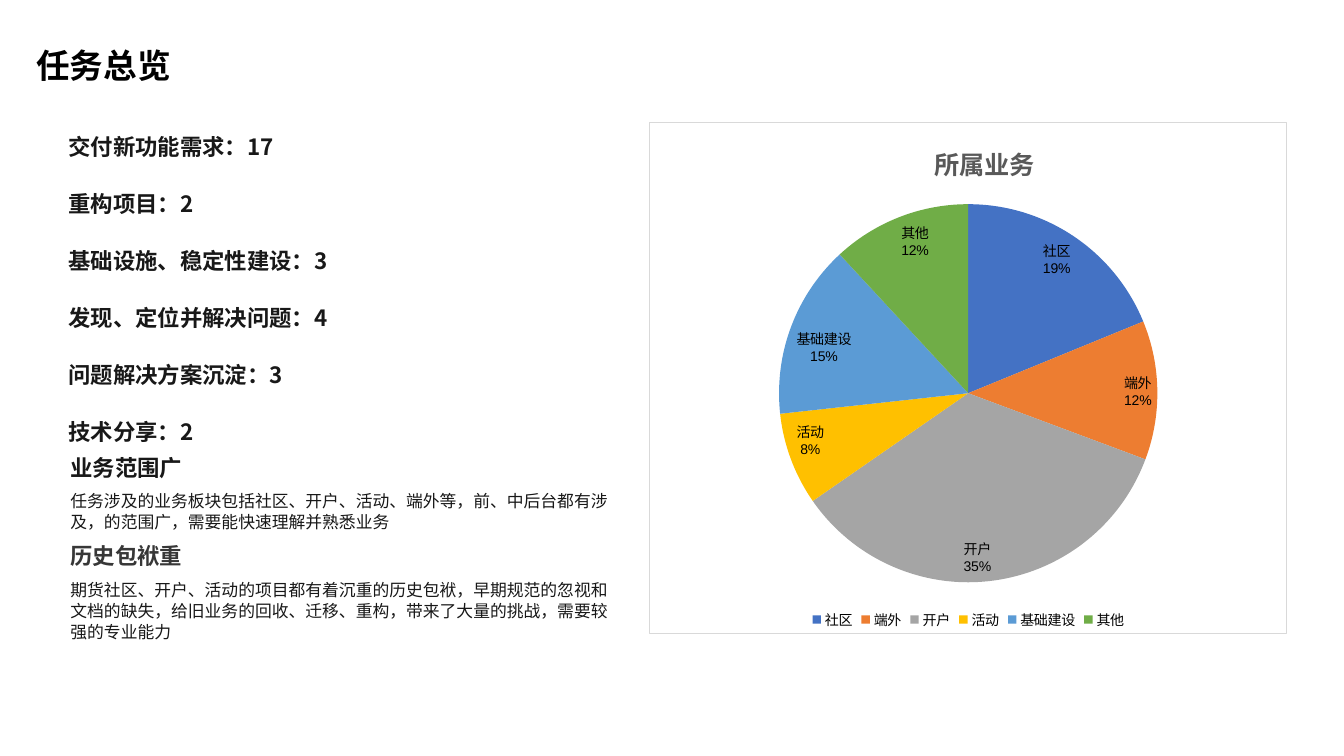
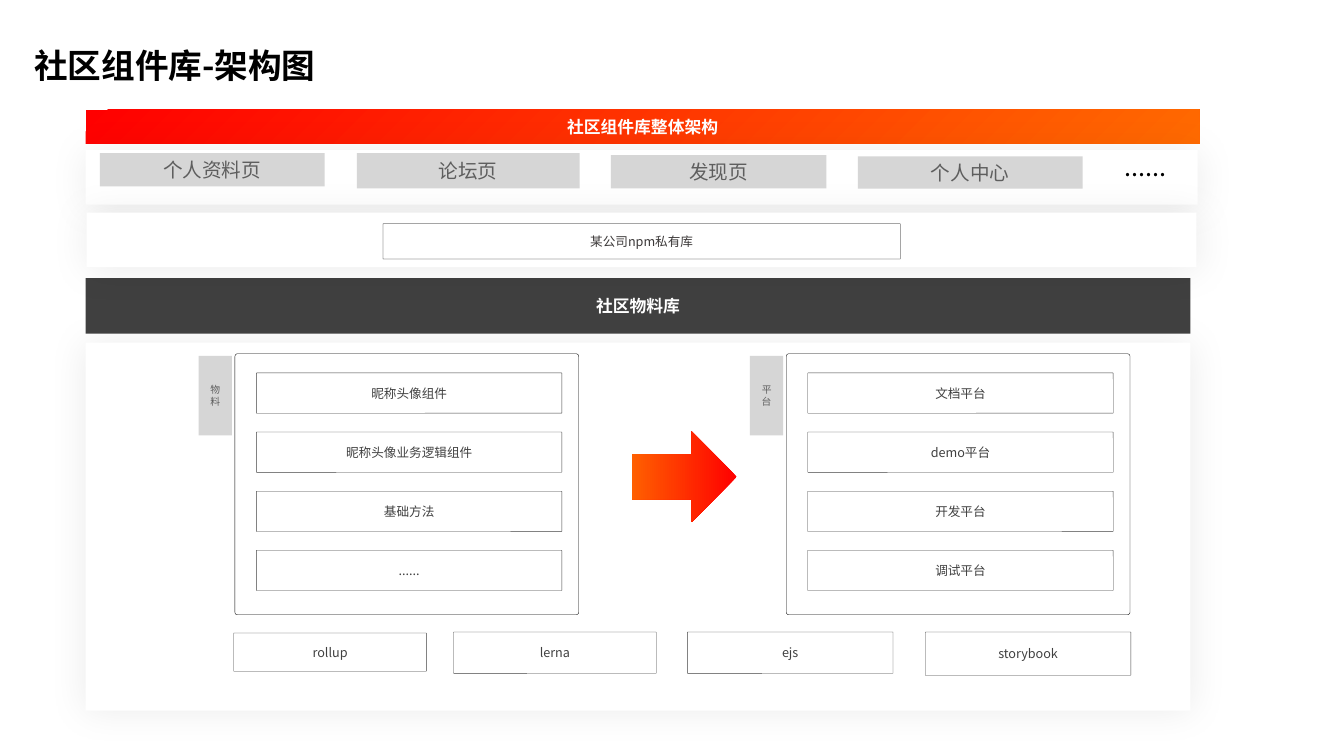
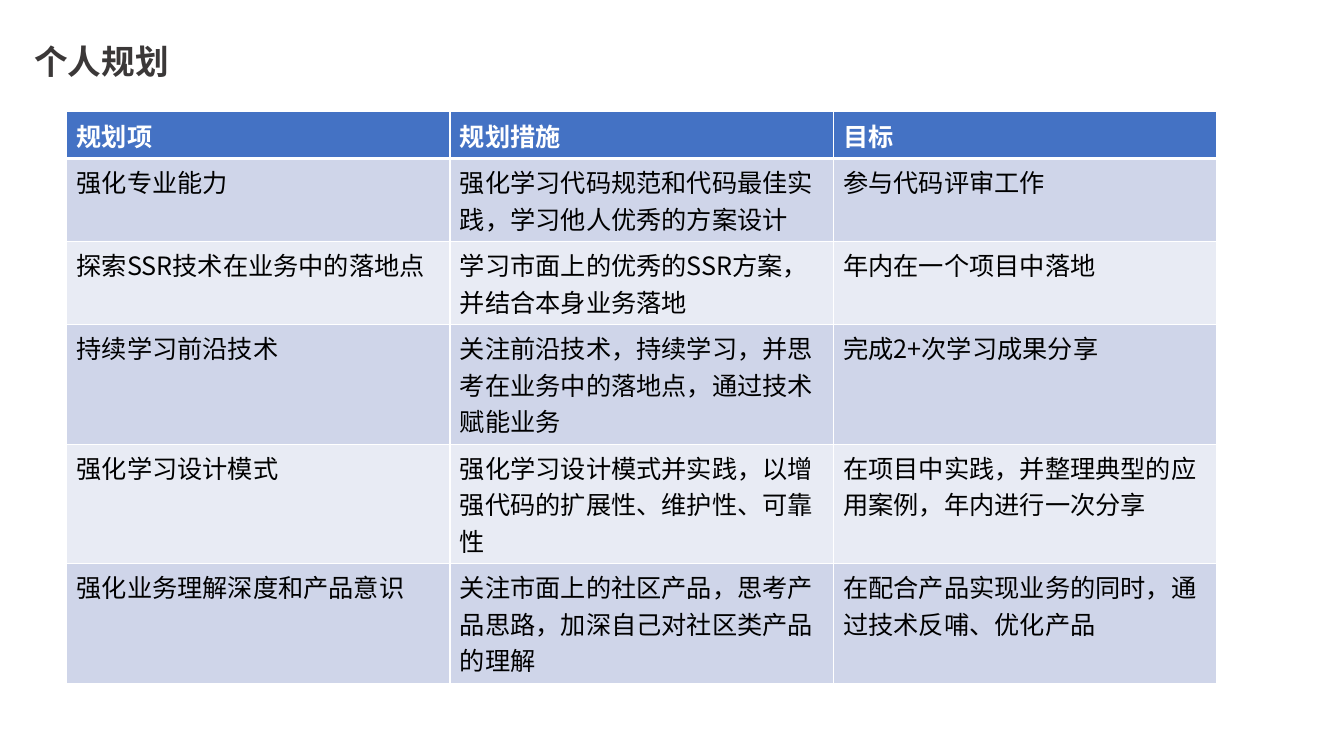
from dataclasses import dataclass

from lxml.etree import SubElement
from pptx import Presentation
from pptx.chart.data import CategoryChartData
from pptx.dml.color import RGBColor
from pptx.enum.chart import XL_CHART_TYPE as ChartType
from pptx.enum.chart import XL_LABEL_POSITION as LabelPosition
from pptx.enum.chart import XL_LEGEND_POSITION as LegendPosition
from pptx.enum.shapes import MSO_SHAPE as Shape
from pptx.enum.text import MSO_ANCHOR as Anchor
from pptx.enum.text import MSO_AUTO_SIZE as AutoSize
from pptx.enum.text import PP_ALIGN as Align
from pptx.oxml import parse_xml
from pptx.oxml.ns import nsdecls, qn
from pptx.util import Inches, Pt


@dataclass(frozen=True)
class Theme:
    font: str = "Noto Sans CJK SC"
    chart_font: str = "Arial"
    black: str = "000000"
    white: str = "FFFFFF"
    ink: str = "181818"
    soft_ink: str = "373737"
    dark: str = "404040"
    brown: str = "3B3838"
    grey: str = "5E5E5E"
    pale: str = "D6D6D6"
    frame: str = "D9D9D9"
    chart_title: str = "595959"
    red_orange: tuple = ("FF0000", "FF6A00")
    arrow: tuple = ("FF0000", "FF5F00")
    slices: tuple = ("4472C4", "ED7D31", "A5A5A5", "FFC000", "5B9BD5", "70AD47")
    table_head: str = "4472C4"
    table_rows: tuple = ("E8EBF4", "CFD5E9")
    title_size: float = 24
    large: float = 18
    heading: float = 16
    page_label: float = 14
    body: float = 12
    label: float = 10
    small: float = 9
    tiny: float = 7
    leading: float = 1.25


theme = Theme()
color = RGBColor.from_string
deck = Presentation()
deck.slide_width, deck.slide_height = Inches(13.33), Inches(7.5)


def area(left, top, width, height):
    """Turn percentages of the slide's size into lengths."""
    across, down = deck.slide_width / 100, deck.slide_height / 100
    return round(left * across), round(top * down), round(width * across), round(height * down)


def write(frame, lines, size, ink, bold=False, align=Align.LEFT, spacing=None, gap=0, wrap=True):
    """Fill a text frame; without a spacing, lines stand a fixed distance apart."""
    frame.text = "\n".join(lines)
    frame.word_wrap = wrap
    frame.auto_size = AutoSize.NONE
    for para in frame.paragraphs:
        para.alignment = align
        para.line_spacing = spacing or Pt(size * theme.leading)
        para.space_before, para.space_after = Pt(0), Pt(gap)
        font = para.font
        font.name, font.size, font.bold = theme.font, Pt(size), bold
        font.color.rgb = color(ink)
        defaults = para._p.pPr.find(qn("a:defRPr"))
        SubElement(defaults, qn("a:ea")).set("typeface", theme.font)


# Pages with their titles: layout, text, left, top, colour
pages = []
for layout, title, left, top, ink in [
    (1, "任务总览", 1.95, 5.07, theme.black),
    (5, "社区组件库-架构图", 1.8, 5.07, theme.black),
    (5, "个人规划", 1.8, 4.53, theme.brown),
]:
    page = deck.slides.add_slide(deck.slide_layouts[layout])
    box = page.shapes.title
    box.left, box.top, box.width, box.height = area(left, top, 76.28, 5.2)
    write(box.text_frame, [title], theme.title_size, ink, bold=True)
    box.text_frame.vertical_anchor = Anchor.TOP
    pages.append(page)
overview, architecture, plan = pages

# Overview: task counts
box = overview.placeholders[1]
box.left, box.top, box.width, box.height = area(4.35, 16.8, 40, 40.4)
write(box.text_frame, ["交付新功能需求：17", "重构项目：2", "基础设施、稳定性建设：3",
                       "发现、定位并解决问题：4", "问题解决方案沉淀：3", "技术分享：2"],
      theme.heading, theme.ink, bold=True, gap=20.7)
for para in box.text_frame.paragraphs:
    props = para._p.pPr
    props.set("marL", "0")
    props.set("indent", "0")
    props.find(qn("a:defRPr")).addprevious(parse_xml(f"<a:buNone {nsdecls('a')}/>"))

# Overview: headings with notes
for top, height, ink, heading, note in [
    (59.2, 6.67, theme.ink, "业务范围广",
     "任务涉及的业务板块包括社区、开户、活动、端外等，前、中后台都有涉及，的范围广，需要能快速理解并熟悉业务"),
    (70.93, 9.33, theme.soft_ink, "历史包袱重",
     "期货社区、开户、活动的项目都有着沉重的历史包袱，早期规范的忽视和文档的缺失，给旧业务的回收、迁移、重构，"
     "带来了大量的挑战，需要较强的专业能力"),
]:
    box = overview.shapes.add_textbox(*area(4.5, top, 9.83, 4.8))
    write(box.text_frame, [heading], theme.heading, ink, bold=True, wrap=False)
    box = overview.shapes.add_textbox(*area(4.5, top + 4.93, 41.6, height))
    write(box.text_frame, [note], theme.body, theme.ink)

# Overview: pie chart
data = CategoryChartData()
data.categories = ["社区", "端外", "开户", "活动", "基础建设", "其他"]
data.add_series("所属业务", [19, 12, 35, 8, 15, 12])
chart = overview.shapes.add_chart(ChartType.PIE, *area(48.3, 16.13, 47.48, 67.73), data).chart
chart.font.name, chart.font.size = theme.chart_font, Pt(theme.label)
chart.font.color.rgb = color(theme.black)
chart.has_title = True
write(chart.chart_title.text_frame, ["所属业务"], theme.large, theme.chart_title,
      bold=True, align=Align.CENTER, spacing=1.0)
chart.has_legend = True
chart.legend.position = LegendPosition.BOTTOM
chart.legend.include_in_layout = False
plot = chart.plots[0]
plot.vary_by_categories = True
for index, slice_color in enumerate(theme.slices):
    fill = plot.series[0].points[index].format.fill
    fill.solid()
    fill.fore_color.rgb = color(slice_color)
labels = plot.series[0].data_labels
labels.show_value = False
labels.show_category_name = labels.show_percentage = True
labels.position = LabelPosition.INSIDE_END
label_xml = plot.series[0]._element.find(qn("c:dLbls"))
label_xml.find(qn("c:showBubbleSize")).addnext(
    parse_xml(f"<c:separator {nsdecls('c')}>\n</c:separator>"))

# Overview: places of title and pie, border of the chart
chart_xml = chart._chartSpace.find(qn("c:chart"))
for part, position, target, extent in [
    ("c:title", 1, "", '<c:x val="0.44"/><c:y val="0.03"/>'),
    ("c:plotArea", 0, '<c:layoutTarget val="inner"/>',
     '<c:x val="0.2"/><c:y val="0.16"/><c:w val="0.6"/><c:h val="0.74"/>'),
]:
    part_xml = chart_xml.find(qn(part))
    for layout_xml in part_xml.findall(qn("c:layout")):
        part_xml.remove(layout_xml)
    part_xml.insert(position, parse_xml(
        f'<c:layout {nsdecls("c")}><c:manualLayout>{target}<c:xMode val="edge"/>'
        f'<c:yMode val="edge"/>{extent}</c:manualLayout></c:layout>'))
chart_xml.addnext(parse_xml(
    f'<c:spPr {nsdecls("c", "a")}><a:noFill/><a:ln w="{Pt(0.75)}"><a:solidFill>'
    f'<a:srgbClr val="{theme.frame}"/></a:solidFill></a:ln></c:spPr>'))

# Architecture: style = preset, fill, line, text colour, text size, bold, inset
styles = {
    "header": (Shape.RECTANGLE, theme.red_orange, None, theme.white, theme.body, True, 0.01),
    "panel": (Shape.RECTANGLE, theme.white, None, None, None, False, 0.1),
    "band": (Shape.RECTANGLE, theme.dark, None, theme.white, theme.body, True, 0.04),
    "page": (Shape.RECTANGLE, theme.pale, None, theme.grey, theme.page_label, False, 0.05),
    "tag": (Shape.RECTANGLE, theme.pale, None, theme.grey, theme.tiny, False, 0.1),
    "store": (Shape.ROUNDED_RECTANGLE, theme.white, theme.black, theme.brown, theme.small, False, 0.01),
    "item": (Shape.ROUNDED_RECTANGLE, theme.white, theme.dark, theme.dark, theme.small, False, 0.01),
    "arrow": (Shape.RIGHT_ARROW, theme.arrow, None, None, None, False, 0.1),
}
gradient_angles = {"header": 315, "arrow": 180}

# Architecture: style, text, then left, top, width, height
parts = [
    ("header", "社区组件库整体架构", 6.38, 14.53, 82.88, 4.5),
    ("panel", "", 6.38, 19.87, 82.73, 7.2),
    ("panel", "", 6.38, 45.33, 82.2, 48.67),
    ("band", "社区物料库", 6.38, 36.8, 82.2, 7.33),
    ("panel", "", 6.45, 28.13, 82.58, 7.2),
    ("store", "某公司npm私有库", 28.5, 29.6, 38.48, 4.67),
    ("arrow", "", 47.03, 57.07, 7.8, 12),
    ("page", "个人资料页", 7.43, 20.27, 16.73, 4.4),
    ("page", "论坛页", 26.55, 20.27, 16.58, 4.67),
    ("page", "发现页", 45.45, 20.53, 16.05, 4.4),
    ("page", "个人中心", 63.83, 20.67, 16.73, 4.27),
    ("item", "rollup", 17.4, 83.73, 14.33, 5.07),
    ("item", "lerna", 33.75, 83.6, 15.08, 5.47),
    ("item", "ejs", 51.15, 83.6, 15.3, 5.47),
    ("item", "storybook", 68.85, 83.6, 15.3, 5.73),
]
for left, tag, items in [
    (17.48, "物料", ["昵称头像组件", "昵称头像业务逻辑组件", "基础方法", "......"]),
    (58.5, "平台", ["文档平台", "demo平台", "开发平台", "调试平台"]),
]:
    parts.append(("store", "", left, 46.8, 25.58, 34.53))
    parts.append(("tag", tag, left - 2.7, 47.07, 2.48, 10.53))
    parts += [("item", item, left + 1.6, 49.33 + 7.82 * row, 22.73, 5.33)
              for row, item in enumerate(items)]

for style, text, *place in parts:
    preset, fill_color, line_color, ink, size, bold, inset = styles[style]
    box = architecture.shapes.add_shape(preset, *area(*place))
    box.shadow.inherit = False
    if preset == Shape.ROUNDED_RECTANGLE:
        box.adjustments[0] = 0.01
    if style in gradient_angles:
        box.fill.gradient()
        box.fill.gradient_angle = gradient_angles[style]
        for stop, stop_color in zip(box.fill.gradient_stops, fill_color):
            stop.color.rgb = color(stop_color)
    else:
        box.fill.solid()
        box.fill.fore_color.rgb = color(fill_color)
    if line_color:
        box.line.color.rgb = color(line_color)
        box.line.width = Pt(0.25)
    else:
        box.line.fill.background()
    if style == "panel":
        effects = box._element.spPr.find(qn("a:effectLst"))
        effects.append(parse_xml(
            f'<a:outerShdw {nsdecls("a")} blurRad="{Pt(27)}" dist="{Pt(1)}" dir="5400000">'
            f'<a:srgbClr val="{theme.black}"><a:alpha val="7000"/></a:srgbClr></a:outerShdw>'))
    if text:
        frame = box.text_frame
        write(frame, [text], size, ink, bold, Align.CENTER, spacing=None if style == "tag" else 1.0)
        frame.vertical_anchor = Anchor.MIDDLE
        frame.margin_left = frame.margin_right = Inches(inset)
        frame.margin_top = frame.margin_bottom = Inches(min(inset, 0.05))

box = architecture.shapes.add_textbox(*area(82.95, 19.2, 4.2, 5.33))
write(box.text_frame, ["......"], theme.large, theme.black, wrap=False)

# Plan: table
rows = [
    ("规划项", "规划措施", "目标"),
    ("强化专业能力", "强化学习代码规范和代码最佳实践，学习他人优秀的方案设计", "参与代码评审工作"),
    ("探索SSR技术在业务中的落地点", "学习市面上的优秀的SSR方案，并结合本身业务落地", "年内在一个项目中落地"),
    ("持续学习前沿技术", "关注前沿技术，持续学习，并思考在业务中的落地点，通过技术赋能业务",
     "完成2+次学习成果分享"),
    ("强化学习设计模式", "强化学习设计模式并实践，以增强代码的扩展性、维护性、可靠性",
     "在项目中实践，并整理典型的应用案例，年内进行一次分享"),
    ("强化业务理解深度和产品意识", "关注市面上的社区产品，思考产品思路，加深自己对社区类产品的理解",
     "在配合产品实现业务的同时，通过技术反哺、优化产品"),
]
heights = [0.43, 0.75, 0.75, 1.07, 1.07, 1.07]
table = plan.shapes.add_table(len(rows), 3, *area(4.95, 14.8, 85.58, 68.5)).table
for index, (texts, height) in enumerate(zip(rows, heights)):
    table.rows[index].height = Inches(height)
    head = index == 0
    for cell, text in zip(table.rows[index].cells, texts):
        cell.fill.solid()
        cell.fill.fore_color.rgb = color(theme.table_head if head else theme.table_rows[index % 2])
        write(cell.text_frame, [text], theme.large, theme.white if head else theme.black,
              bold=head, spacing=1.0)
        if head:
            cell._tc.tcPr.insert(0, parse_xml(
                f'<a:lnB {nsdecls("a")} w="{Pt(3)}"><a:solidFill>'
                f'<a:srgbClr val="{theme.white}"/></a:solidFill></a:lnB>'))

deck.save("out.pptx")
